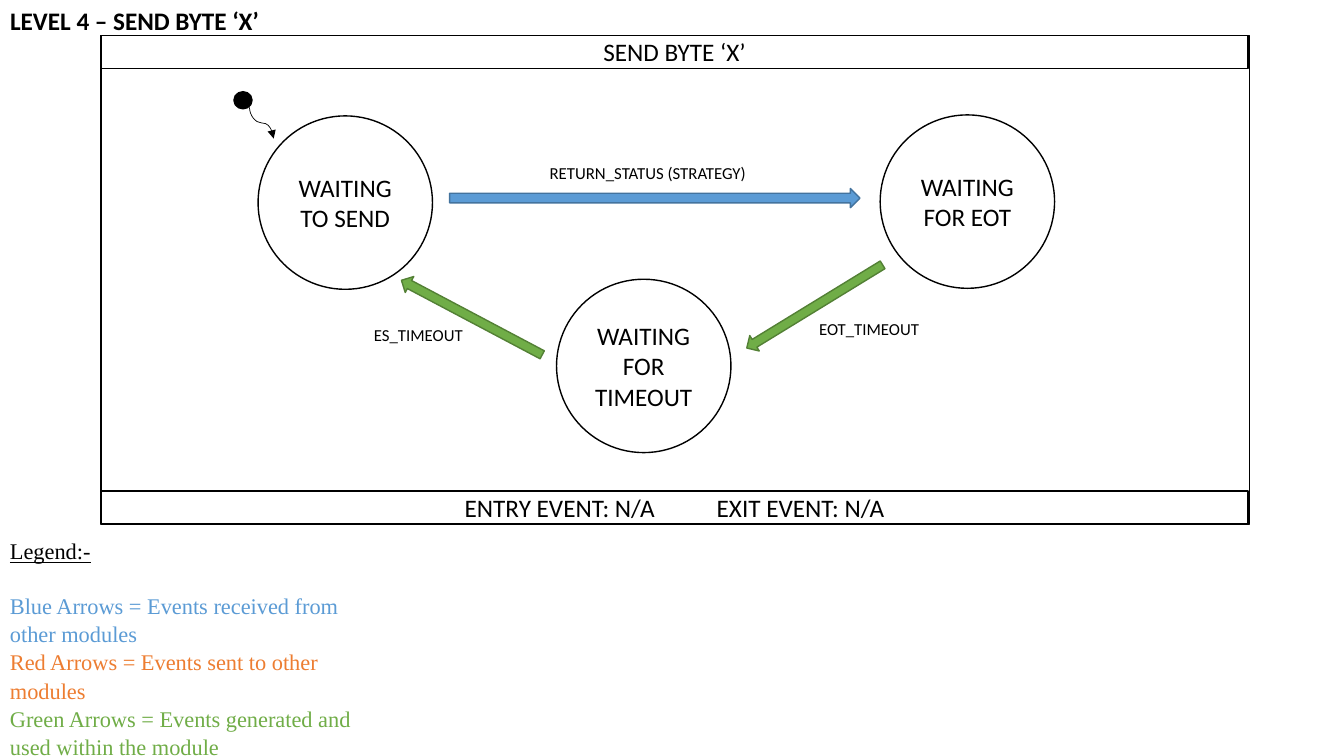
from lxml.etree import SubElement
from pptx import Presentation
from pptx.dml.color import RGBColor
from pptx.enum.shapes import MSO_CONNECTOR as Connector, MSO_SHAPE as Shape
from pptx.enum.text import MSO_ANCHOR as Anchor, PP_ALIGN as Align
from pptx.oxml.ns import qn
from pptx.util import Inches, Pt

BLACK = RGBColor(0x00, 0x00, 0x00)
WHITE = RGBColor(0xFF, 0xFF, 0xFF)
BLUE = RGBColor(0x5B, 0x9B, 0xD5)
BLUE_EDGE = RGBColor(0x43, 0x73, 0x9E)
ORANGE = RGBColor(0xED, 0x7D, 0x31)
GREEN = RGBColor(0x70, 0xAD, 0x47)
GREEN_EDGE = RGBColor(0x53, 0x80, 0x35)

SANS = "Calibri"
SERIF = "Times New Roman"

FRAME_LEFT, FRAME_TOP, FRAME_WIDTH, FRAME_HEIGHT = 1, 0.35, 11.39, 4.85
BAR_HEIGHT = 0.33
STATE_SIZE = 1.73

STATES = [
    ("WAITING TO SEND", 2.56, 1.15),
    ("WAITING FOR EOT", 8.73, 1.14),
    ("WAITING FOR TIMEOUT", 5.52, 2.77),
]
EVENT_ARROWS = [
    (4.46, 1.87, 4.07, 0.19, 0, BLUE, BLUE_EDGE),
    (3.89, 3.06, 1.58, 0.18, 207.9, GREEN, GREEN_EDGE),
    (7.29, 2.95, 1.58, 0.18, 148.5, GREEN, GREEN_EDGE),
]
EVENT_LABELS = [
    ("RETURN_STATUS (STRATEGY)", 5.29, 1.57, 2.27),
    ("ES_TIMEOUT", 3.43, 3.17, 1.44),
    ("EOT_TIMEOUT", 7.9, 3.11, 1.44),
]
LEGEND = [
    ("Blue Arrows = Events received from other modules", BLUE),
    ("Red Arrows = Events sent to other modules", ORANGE),
    ("Green Arrows = Events generated and used within the module", GREEN),
]


def add_span(para, text, size, font=SANS, color=BLACK):
    span = para.add_run()
    span.text = text
    span.font.size = Pt(size)
    span.font.name = font
    span.font.color.rgb = color
    return span


def add_figure(page, kind, left, top, width, height, fill=WHITE, edge=BLACK):
    figure = page.shapes.add_shape(
        kind, Inches(left), Inches(top), Inches(width), Inches(height))
    figure.shadow.inherit = False
    if fill is None:
        figure.fill.background()
    else:
        figure.fill.solid()
        figure.fill.fore_color.rgb = fill
    figure.line.color.rgb = edge
    figure.line.width = Pt(1)
    return figure


def write_centred(figure, text):
    frame = figure.text_frame
    frame.word_wrap = True
    frame.vertical_anchor = Anchor.MIDDLE
    para = frame.paragraphs[0]
    para.alignment = Align.CENTER
    add_span(para, text, 18)


def add_text_box(page, left, top, width, height):
    box = page.shapes.add_textbox(
        Inches(left), Inches(top), Inches(width), Inches(height))
    box.text_frame.word_wrap = True
    return box.text_frame


def add_title(page, text):
    title = page.shapes.title
    title.left, title.top = Inches(0), Inches(0)
    title.width, title.height = Inches(2.7), Inches(0.4)
    frame = title.text_frame
    frame.word_wrap = False
    frame.vertical_anchor = Anchor.TOP
    para = frame.paragraphs[0]
    para.alignment = Align.LEFT
    para.line_spacing = 1.0
    para.space_before = Pt(0)
    add_span(para, text, 18).font.bold = True


def add_bar(page, text, top):
    bar = add_figure(page, Shape.RECTANGLE, FRAME_LEFT, top, FRAME_WIDTH - 0.01, BAR_HEIGHT)
    write_centred(bar, text)


def add_state(page, text, left, top):
    write_centred(add_figure(page, Shape.OVAL, left, top, STATE_SIZE, STATE_SIZE - 0.01), text)


def add_event_arrow(page, left, top, width, height, rotation, fill, edge):
    arrow = add_figure(page, Shape.RIGHT_ARROW, left, top, width, height, fill, edge)
    arrow.rotation = rotation


def add_event_label(page, text, left, top, width):
    para = add_text_box(page, left, top, width, 0.3).paragraphs[0]
    para.alignment = Align.CENTER
    add_span(para, text, 12)


def add_initial_state(page):
    add_figure(page, Shape.OVAL, 2.32, 0.91, 0.18, 0.17, fill=BLACK)
    curve = page.shapes.add_connector(
        Connector.CURVE, Inches(2.75), Inches(1.1), Inches(2.44), Inches(1.34))
    curve.line.color.rgb = BLACK
    curve.line.width = Pt(0.5)
    properties = curve._element.spPr
    properties.find(qn("a:xfrm")).set("rot", str(270 * 60000))
    SubElement(properties.find(qn("a:ln")), qn("a:tailEnd"), type="triangle")
    SubElement(properties, qn("a:effectLst"))


def add_legend(page):
    frame = add_text_box(page, 0, 5.27, 3.92, 2.2)
    heading = frame.paragraphs[0]
    heading.line_spacing = 1.05
    heading.space_after = Pt(19)
    add_span(heading, "Legend:-", 16, SERIF).font.underline = True
    for text, color in LEGEND:
        para = frame.add_paragraph()
        para.line_spacing = 1.05
        add_span(para, text, 16, SERIF, color)


def main():
    deck = Presentation()
    deck.slide_width, deck.slide_height = Inches(13.33), Inches(7.5)
    page = deck.slides.add_slide(deck.slide_layouts[5])
    add_title(page, "LEVEL 4 – SEND BYTE ‘X’")
    add_legend(page)
    add_figure(page, Shape.RECTANGLE, FRAME_LEFT, FRAME_TOP, FRAME_WIDTH, FRAME_HEIGHT, fill=None)
    add_bar(page, "SEND BYTE ‘X’", FRAME_TOP)
    add_bar(page, "ENTRY EVENT: N/A\t\tEXIT EVENT: N/A", FRAME_TOP + FRAME_HEIGHT - BAR_HEIGHT)
    for state in STATES:
        add_state(page, *state)
    add_initial_state(page)
    for arrow in EVENT_ARROWS:
        add_event_arrow(page, *arrow)
    for label in EVENT_LABELS:
        add_event_label(page, *label)
    deck.save("out.pptx")


main()
